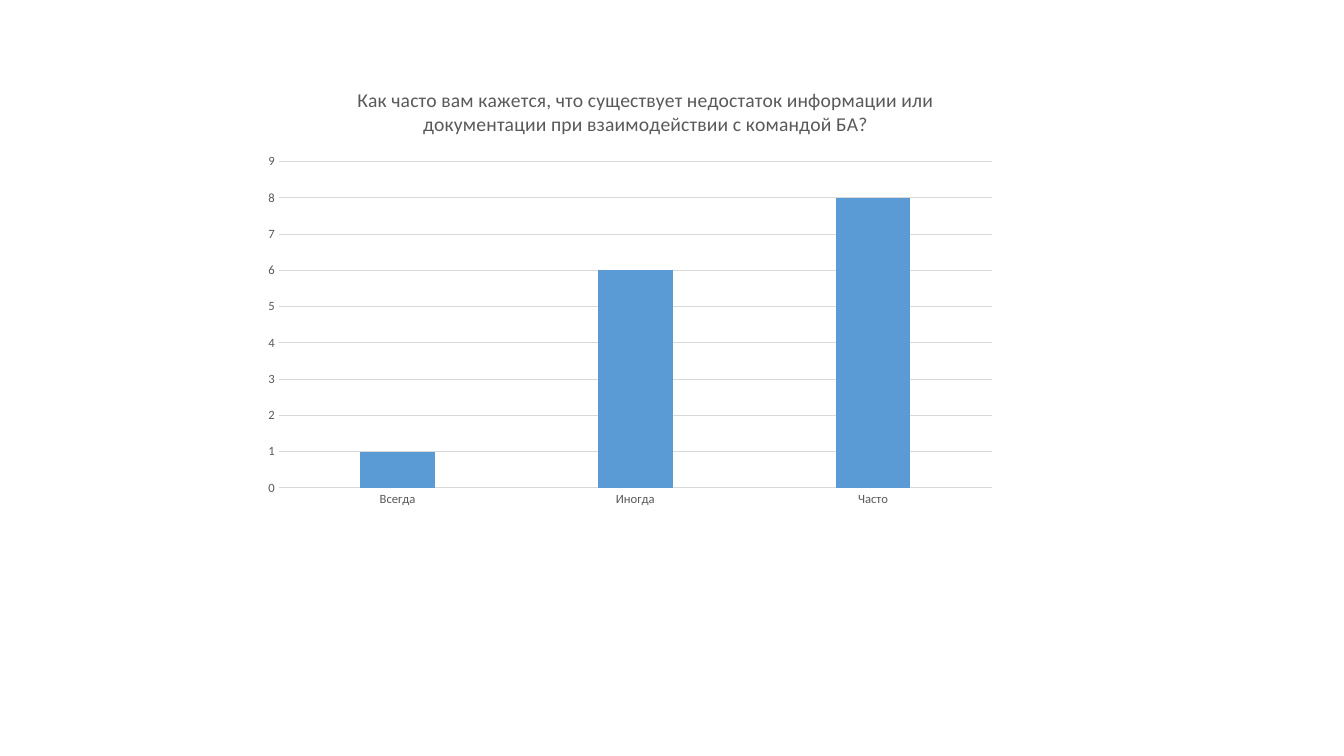
from lxml.etree import SubElement
from pptx import Presentation
from pptx.chart.data import CategoryChartData
from pptx.dml.color import RGBColor
from pptx.enum.chart import XL_CHART_TYPE as ChartType, XL_TICK_MARK as Tick
from pptx.oxml import parse_xml
from pptx.oxml.ns import nsdecls, qn
from pptx.util import Emu, Pt

PX = 9525
FONT = "Calibri"
GREY, PALE, BLUE = "595959", "D9D9D9", "5B9BD5"
TITLE = ("Как часто вам кажется, что существует недостаток информации "
         "или документации при взаимодействии с командой БА?")
ANSWERS = {"Всегда": 1, "Иногда": 6, "Часто": 8}


def px(n):
    return Emu(n * PX)


def color(value):
    return RGBColor.from_string(value)


def set_font(font, size, fill=GREY):
    font.name, font.size, font.bold = FONT, Pt(size), False
    font.color.rgb = color(fill)


def add_text(tf, text, **fmt):
    r = tf.paragraphs[0].add_run()
    r.text = text
    set_font(r.font, **fmt)


def set_line(line, fill, width=0.75):
    line.color.rgb = color(fill)
    line.width = Pt(width)


def set_layout(parent, index, **values):
    """Place a chart part by fractions of the chart's width and height."""
    layout = parent.find(qn("c:layout"))
    if layout is not None:
        parent.remove(layout)
    layout = parse_xml(f"<c:layout {nsdecls('c')}/>")
    parent.insert(index, layout)
    manual = SubElement(layout, qn("c:manualLayout"))
    if "w" in values:
        SubElement(manual, qn("c:layoutTarget"), val="inner")
    for mode in ("xMode", "yMode"):
        SubElement(manual, qn(f"c:{mode}"), val="edge")
    for name, value in values.items():
        SubElement(manual, qn(f"c:{name}"), val=str(value))


def style_axis(axis):
    axis.major_tick_mark = axis.minor_tick_mark = Tick.NONE
    set_font(axis.tick_labels.font, 9)


def add_column_chart(s, title, answers, x, y, w, h):
    data = CategoryChartData()
    data.categories = list(answers)
    data.add_series("Series 1", list(answers.values()))
    chart = s.shapes.add_chart(ChartType.COLUMN_CLUSTERED,
                               px(x), px(y), px(w), px(h), data).chart
    set_font(chart.font, 10, "000000")
    chart.has_legend = False

    add_text(chart.chart_title.text_frame, title, size=14)
    chart.chart_title.include_in_layout = False
    set_layout(chart.chart_title._element, 1, x=0.13, y=0.02)
    plot_area = chart._chartSpace.chart.plotArea
    set_layout(plot_area, 0, x=0.03, y=0.2, w=0.95, h=0.74)

    plot = chart.plots[0]
    plot.gap_width, plot.overlap = 219, -27
    plot.vary_by_categories = False
    fill = plot.series[0].format.fill
    fill.solid()
    fill.fore_color.rgb = color(BLUE)

    cat, val = chart.category_axis, chart.value_axis
    for axis in (cat, val):
        style_axis(axis)
    set_line(cat.format.line, PALE)
    val.format.line.fill.background()
    val.minimum_scale, val.maximum_scale, val.major_unit = 0, 9, 1
    set_line(val.major_gridlines.format.line, PALE)


def main():
    prs = Presentation()
    prs.slide_width, prs.slide_height = px(1280), px(720)
    s = prs.slides.add_slide(prs.slide_layouts[6])
    add_column_chart(s, TITLE, ANSWERS, 244, 70, 715, 420)
    prs.save("out.pptx")


if __name__ == "__main__":
    main()
